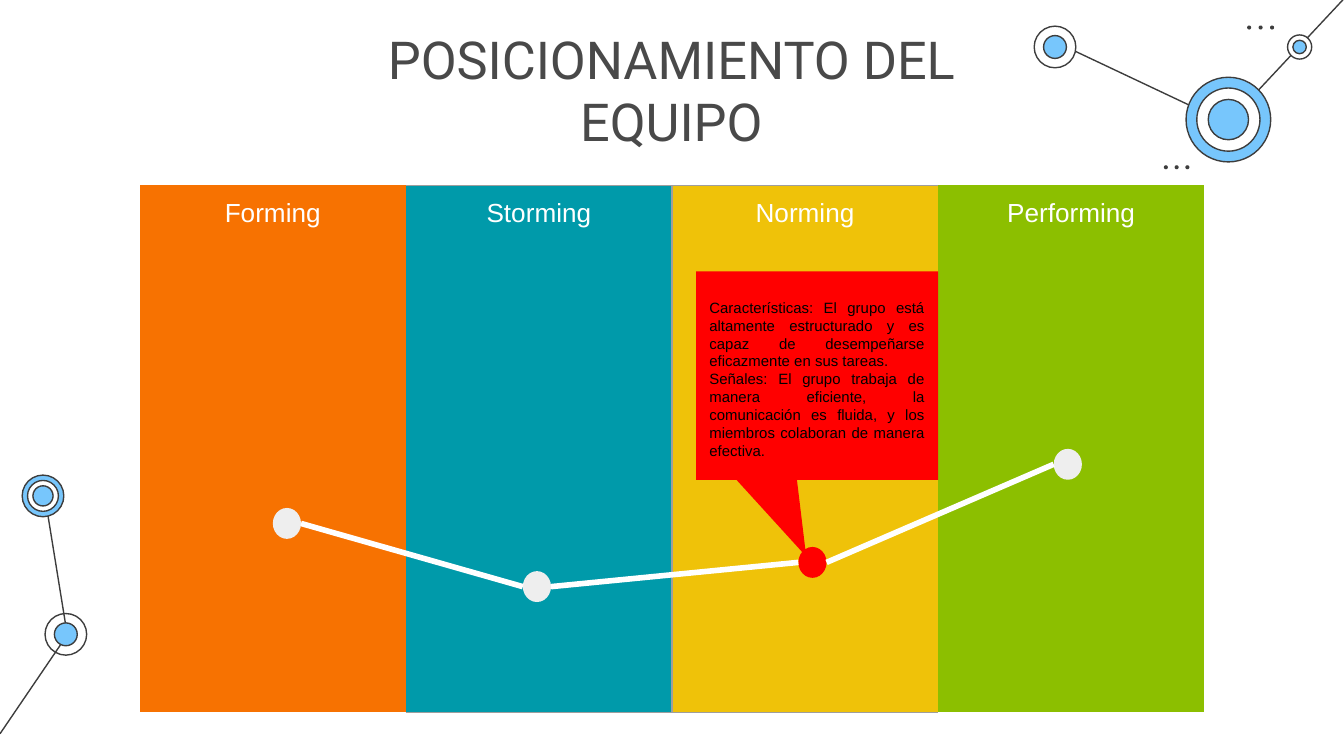
from itertools import pairwise

from lxml import etree
from pptx import Presentation
from pptx import util as u
from pptx.dml.color import RGBColor
from pptx.enum import shapes, text
from pptx.oxml.ns import qn

PX = 9144  # EMU per px, 100 px to the inch
SLIDE_WIDTH = 1000
COLORS = {
    "ink": "3D3D3D", "title": "494949", "sky": "77C6FC", "white": "FFFFFF",
    "black": "000000", "dot": "EEEEEE", "current": "FF0000", "grid": "9E9E9E",
    "forming": "F77201", "storming": "009AAA",
    "norming": "EFC209", "performing": "8CBF00",
}


def px(*lengths):
    return [u.Emu(round(length * PX)) for length in lengths]


def rgb(name):
    return RGBColor.from_string(COLORS[name])


def set_font(paragraph, face, size, color):
    paragraph.font.name = face
    paragraph.font.size = u.Pt(size)
    paragraph.font.color.rgb = rgb(color)


def add_shape(slide, kind, box, fill=None, outline=None):
    shape = slide.shapes.add_shape(kind, *px(*box))
    shape.shadow.inherit = False
    if fill:
        shape.fill.solid()
        shape.fill.fore_color.rgb = rgb(fill)
    else:
        shape.fill.background()
    if outline:
        shape.line.color.rgb = rgb(outline)
        shape.line.width = u.Pt(0.75)
    else:
        shape.line.fill.background()
    return shape


def add_line(slide, start, end, color, width):
    line = slide.shapes.add_connector(shapes.MSO_CONNECTOR.STRAIGHT, *px(*start, *end))
    line.line.color.rgb = rgb(color)
    line.line.width = u.Pt(width)
    etree.SubElement(line._element.spPr, qn("a:effectLst"))


def network(slide, box, links, nodes):
    """Links, then nodes of concentric rings given as (diameter, fill)."""
    left, top = box[:2]
    for (x1, y1), (x2, y2) in links:
        add_line(slide, (left + x1, top + y1), (left + x2, top + y2), "ink", 0.75)
    for (x, y), rings in nodes:
        for size, fill in rings:
            ring_box = (left + x - size / 2, top + y - size / 2, size, size)
            add_shape(slide, shapes.MSO_SHAPE.OVAL, ring_box, fill, "ink")


def ellipsis_dots(slide, box):
    left, top, width, size = box
    for i in range(3):
        dot_box = (left + i * (width - size) / 2, top, size, size)
        add_shape(slide, shapes.MSO_SHAPE.OVAL, dot_box, "ink")


def heading(slide, box, words):
    frame = slide.shapes.add_textbox(*px(*box)).text_frame
    frame.word_wrap = True
    frame.margin_left = frame.margin_right = frame.margin_top = frame.margin_bottom = px(10)[0]
    title = frame.paragraphs[0]
    title.text = words
    title.alignment = text.PP_ALIGN.CENTER
    set_font(title, "Roboto", 28, "title")


def set_borders(cell, sides):
    properties = cell._tc.get_or_add_tcPr()
    for side in "LRTB":
        border = etree.SubElement(properties, qn(f"a:ln{side}"), w=str(u.Pt(0.75)))
        if side in sides:
            fill = etree.SubElement(border, qn("a:solidFill"))
            etree.SubElement(fill, qn("a:srgbClr"), val=COLORS["grid"])
        else:
            etree.SubElement(border, qn("a:noFill"))


def stage_table(slide, box, stages):
    table = slide.shapes.add_table(1, len(stages), *px(*box)).table
    table.first_row = table.horz_banding = False
    for cell, (stage, sides) in zip(table.rows[0].cells, stages):
        set_borders(cell, sides)
        cell.fill.solid()
        cell.fill.fore_color.rgb = rgb(stage.lower())
        cell.margin_left = cell.margin_right = cell.margin_top = cell.margin_bottom = px(10)[0]
        name = cell.text_frame.paragraphs[0]
        name.text = stage
        name.alignment = text.PP_ALIGN.CENTER
        set_font(name, "Arial", 14, "white")


def progress_path(slide, box, stops):
    """Dots joined side to side by thick lines."""
    left, top = box[:2]
    width, height = 21, 23
    places = [(left + x, top + y) for x, y, _ in stops]
    for (x, y), (_, _, fill) in zip(places, stops):
        add_shape(slide, shapes.MSO_SHAPE.OVAL, (x, y, width, height), fill)
    for (x1, y1), (x2, y2) in pairwise(places):
        add_line(slide, (x1 + width, y1 + height / 2), (x2, y2 + height / 2), "white", 3)


def stage_callout(slide, box, sentences):
    callout = add_shape(slide, shapes.MSO_SHAPE.ROUNDED_RECTANGULAR_CALLOUT, box, "current")
    for i, value in enumerate((-0.045, 0.868, 0)):
        callout.adjustments[i] = value
    frame = callout.text_frame
    frame.word_wrap = True
    frame.vertical_anchor = text.MSO_ANCHOR.TOP
    frame.margin_left, frame.margin_top, frame.margin_right, frame.margin_bottom = px(10, 20, 10, 10)
    frame.text = "\n".join(sentences)
    for sentence in frame.paragraphs:
        sentence.alignment = text.PP_ALIGN.JUSTIFY
        set_font(sentence, "Arial", 8, "black")


def main():
    deck = Presentation()
    deck.slide_width, deck.slide_height = px(SLIDE_WIDTH, SLIDE_WIDTH * 9 / 16)
    slide = deck.slides.add_slide(deck.slide_layouts[6])

    # Corner decorations
    network(slide, (0, 353, 65, 193),
            links=[((50, 119), (33, 14)), ((0, 193), (49, 121))],
            nodes=[((49, 119), [(31, None), (17, "sky")]),
                   ((32, 16), [(31, "sky"), (23, "white"), (15, "sky")])])
    network(slide, (769, 0, 231, 122),
            links=[((145, 92), (18, 32)), ((231, -1), (145, 91))],
            nodes=[((145, 89), [(63, "sky"), (47, "white"), (30, "sky")]),
                   ((16, 35), [(31, "white"), (17, "sky")]),
                   ((198, 35), [(18, "white"), (10, "sky")])])
    ellipsis_dots(slide, (928, 19, 20, 3))
    ellipsis_dots(slide, (866, 123, 19, 3))

    # Title
    heading(slide, (224, 10, 551, 63), "POSICIONAMIENTO DEL EQUIPO")

    # Stages with the team's progress
    board = (104, 138, 792, 392)
    stage_table(slide, board, [("Forming", ""), ("Storming", "RTB"),
                               ("Norming", "LTB"), ("Performing", "")])
    progress_path(slide, board, [(99, 240, "dot"), (285, 287, "dot"),
                                 (490, 269, "current"), (680, 196, "dot")])

    # Current stage
    stage_callout(slide, (518, 202, 180, 155), [
        "Características: El grupo está altamente estructurado y es capaz de "
        "desempeñarse eficazmente en sus tareas.",
        "Señales: El grupo trabaja de manera eficiente, la comunicación es fluida, "
        "y los miembros colaboran de manera efectiva.",
    ])
    deck.save("out.pptx")


if __name__ == "__main__":
    main()
